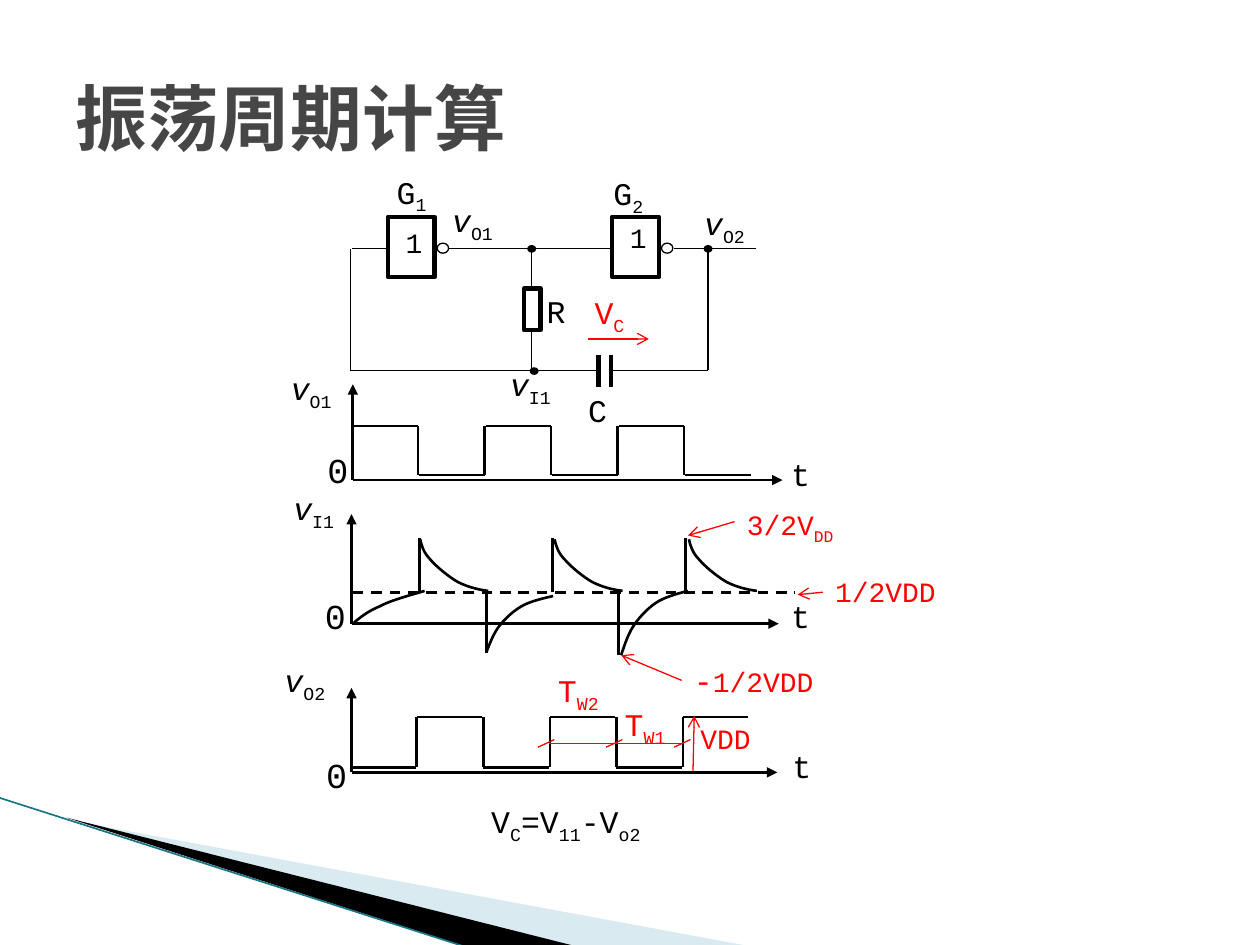
from lxml import etree
from pptx import Presentation
from pptx import util as u
from pptx.dml.color import RGBColor
from pptx.enum import shapes, text
from pptx.oxml.ns import qn

COLORS = {"ink": "000000", "red": "FF0000", "title": "464646", "white": "FFFFFF",
          "pale": "A0CBDC", "edge": "1B7587"}
FALL = [(0, 0), (0.1, 0.5), (0.3, 1.1), (0.8, 1.6), (1.3, 2.2), (2.3, 3), (3, 3.4),
        (3.8, 3.8), (4.6, 4), (5.4, 4.1)]
RISE = [(0, 0), (0.3, -0.9), (0.6, -1.8), (1.1, -2.5), (1.6, -3.2), (2.3, -3.9), (3, -4.3),
        (3.7, -4.7), (4.9, -5), (5.3, -5.1)]
CHARGE = [(0, 0), (0.6, -0.5), (1.2, -1), (2.2, -1.4), (3.1, -1.9), (5.1, -2.4), (5.7, -2.6)]
PULSE = 5.28


class Sketch:
    """Draws styled elements on a slide, measured on a grid of 100 columns by 75 rows."""

    def __init__(self, presentation, font="Courier New"):
        self.slide = presentation.slides.add_slide(presentation.slide_layouts[6])
        self.shapes = self.slide.shapes
        self.cell = presentation.slide_width / 100
        self.font = font

    def grid(self, *lengths):
        return [u.Emu(round(length * self.cell)) for length in lengths]

    def color(self, name):
        return RGBColor.from_string(COLORS[name])

    def paint(self, shape, fill=None, line=None, width=0.75):
        shape.shadow.inherit = False
        if fill:
            shape.fill.solid()
            shape.fill.fore_color.rgb = self.color(fill)
        else:
            shape.fill.background()
        if line:
            shape.line.color.rgb = self.color(line)
            shape.line.width = u.Pt(width)
        else:
            shape.line.fill.background()
        return shape

    def box(self, x, y, width, height, line_width=2.5):
        shape = self.shapes.add_shape(shapes.MSO_SHAPE.RECTANGLE, *self.grid(x, y, width, height))
        self.paint(shape, None, "ink", line_width)

    def dot(self, x, y, width, height, fill="ink"):
        shape = self.shapes.add_shape(shapes.MSO_SHAPE.OVAL, *self.grid(x, y, width, height))
        self.paint(shape, fill, "ink")

    def line(self, x1, y1, x2, y2, width=0.75, color="ink", arrow=None, dash=None):
        connector = self.shapes.add_connector(
            shapes.MSO_CONNECTOR.STRAIGHT, *self.grid(x1, y1, x2, y2))
        connector.line.color.rgb = self.color(color)
        connector.line.width = u.Pt(width)
        properties = connector._element.spPr
        outline = properties.find(qn("a:ln"))
        if dash:
            etree.SubElement(outline, qn("a:prstDash")).set("val", dash)
        if arrow:
            etree.SubElement(outline, qn("a:tailEnd")).set("type", arrow)
        etree.SubElement(properties, qn("a:effectLst"))

    def outline(self, points, closed=False):
        start, *rest = [self.grid(*point) for point in points]
        builder = self.shapes.build_freeform(*start, scale=1.0)
        builder.add_line_segments(rest, close=closed)
        return builder.convert_to_shape()

    def polygon(self, points, fill, opacity=100):
        shape = self.paint(self.outline(points, True), fill)
        if opacity < 100:
            color = shape._element.spPr.find(qn("a:solidFill"))[0]
            etree.SubElement(color, qn("a:alpha")).set("val", str(opacity * 1000))

    def curve(self, x, y, controls, stretch=1):
        shape = self.outline([(x + dx, y + dy * stretch) for dx, dy in controls])
        segments = list(shape._element.iter(qn("a:lnTo")))
        for first in range(0, len(segments), 3):
            group = segments[first:first + 3]
            bezier = etree.SubElement(group[0].getparent(), qn("a:cubicBezTo"))
            for segment in group:
                bezier.append(segment[0])
                segment.getparent().remove(segment)
        self.paint(shape, None, "ink", 1.5)

    def label(self, x, y, width, height, *parts, size=18, color="ink", italic=False, bold=False):
        frame = self.shapes.add_textbox(*self.grid(x, y, width, height)).text_frame
        frame.word_wrap = True
        paragraph = frame.paragraphs[0]
        paragraph.font.name = self.font
        paragraph.font.size = u.Pt(size)
        paragraph.font.bold = bold
        paragraph.font.color.rgb = self.color(color)
        for index, part in enumerate(parts):
            run = paragraph.add_run()
            run.text = part
            if index % 2:
                run._r.get_or_add_rPr().set("baseline", "-25000")
            elif italic:
                run.font.italic = True
        return frame

    def gate(self, x, number_y):
        self.box(x, 17.2, 3.7, 4.8)
        self.dot(x + 3.9, 19.3, 0.9, 0.8, "white")
        self.label(x + 0.4, number_y, 4.2, 3.5, "1", size=16)

    def axes(self, x, y, top, right):
        self.line(x, y, right, y, 1.5, arrow="triangle")
        self.line(x, y, x, top, 1.5, arrow="triangle")

    def square_wave(self, x, high, low, starts_high, gap):
        for index in range(6):
            left = x + index * PULSE
            level = high if (index % 2 == 0) == starts_high else low
            self.line(left, level, left + 5.2, level, 1.5)
            if index:
                self.line(left - gap, high, left - gap, low, 1.5)


def draw_background(sketch):
    sketch.polygon([(5.5, 65.1), (59.5, 75.1), (45.6, 75.1)], "pale", 40)
    sketch.polygon([(5.3, 64.9), (45.7, 75.1), (37.2, 75.2)], "ink")
    sketch.line(-0.1, 63.3, 37.1, 75.2, 0.95, "edge")
    title = sketch.label(5, 3, 90, 12.5, "振荡周期计算", size=41, color="title", bold=True)
    title.vertical_anchor = text.MSO_ANCHOR.MIDDLE


def draw_circuit(sketch):
    sketch.gate(30.8, 17.4)
    sketch.gate(48.6, 17)
    for wire in [(30.8, 19.7, 27.9, 19.7), (48.4, 19.7, 35.6, 19.7), (53.5, 19.7, 60, 19.7),
                 (42.2, 19.6, 42.2, 23), (42.2, 26.2, 42.2, 29.4), (27.8, 29.4, 47.5, 29.4),
                 (48.6, 29.4, 56.2, 29.4), (56.2, 19.6, 56.2, 29.4), (27.8, 19.8, 27.8, 29.4)]:
        sketch.line(*wire)
    for x, y in [(42.1, 29.2), (55.9, 19.5), (41.9, 19.5)]:
        sketch.dot(x, y, 0.6, 0.5)
    sketch.box(41.6, 22.9, 1.3, 3.3)
    for plate in (47.5, 48.5):
        sketch.line(plate, 28.2, plate, 30.7, 2.5)
    for x, y, number in [(47.7, 13.3, "2"), (30.5, 13.2, "1")]:
        sketch.label(x, y, 5.9, 4.2, "G", number)
    sketch.label(42.4, 22.7, 4.6, 4.2, "R")
    sketch.label(45.7, 30.5, 5, 4.2, "C")
    for x, y, node in [(34.9, 15.5, "O1"), (54.9, 15.7, "O2"), (39.5, 28.5, "I1")]:
        sketch.label(x, y, 6.7, 4.7, "v", node, italic=True)
    sketch.line(46.7, 26.9, 51.5, 26.9, color="red", arrow="arrow")
    sketch.label(46.2, 22.8, 5.5, 4, "V", "C", color="red")


def draw_waveforms(sketch):
    sketch.axes(28, 38.1, 30.5, 62.1)
    sketch.axes(27.9, 49.5, 40.8, 61.8)
    sketch.axes(27.9, 61.3, 54.6, 61.7)
    for x, y, node in [(22.1, 28.8, "O1"), (22.3, 38.3, "I1"), (21.6, 52, "O2")]:
        sketch.label(x, y, 7.7, 5.5, "v", node, italic=True)
    for x, y in [(25, 35.1), (24.8, 46.7), (24.9, 59.3)]:
        sketch.label(x, y, 4.3, 4, "0", size=20)
    for x, y in [(61.8, 35.6), (61.8, 46.9), (61.9, 58.8)]:
        sketch.label(x, y, 4, 4.1, "t")
    sketch.square_wave(28, 33.8, 37.7, True, 0.1)
    sketch.square_wave(27.8, 56.9, 60.9, False, 0)
    sketch.line(28, 47, 63.1, 47, 1.5, dash="dash")
    sketch.curve(28, 49.5, CHARGE)
    for index in range(3):
        step = index * 2 * PULSE
        sketch.line(33.3 + step, 47, 33.3 + step, 42.7, 1.5)
        sketch.curve(33.35 + step * 1.01, 42.8, FALL)
    for x, bottom, curve_x, stretch in [(38.6, 51.8, 38.6, 0.88), (49.1, 52, 49.3, 1)]:
        sketch.line(x, 47, x, bottom, 1.5)
        sketch.curve(curve_x, bottom, RISE, stretch)


def draw_annotations(sketch):
    for arrow in [(54.1, 54, 49.3, 52), (58.3, 41.4, 54.6, 42.5), (65.3, 47, 63.3, 47.2),
                  (55, 61.2, 55.1, 56.8)]:
        sketch.line(*arrow, color="red", arrow="arrow")
    sketch.label(58.3, 39.8, 14.3, 3.2, "3/2V", "DD", size=16, color="red")
    sketch.label(65.3, 45.1, 10.9, 3.7, "1/2VDD", size=16, color="red")
    sketch.label(54.6, 56.8, 6.9, 3.7, "VDD", size=16, color="red")
    minus = sketch.label(54.1, 52, 12.3, 4, "-", color="red")
    run = minus.paragraphs[0].add_run()
    run.text = "1/2VDD"
    run.font.size = u.Pt(16)
    sketch.line(43.6, 59, 54.2, 59, color="red")
    for index in range(3):
        x = 42.7 + index * 5.4
        sketch.line(x, 59.3, x + 1.3, 58.7, color="red")
    sketch.label(43.3, 52.8, 6.1, 4, "T", "W2", color="red")
    sketch.label(48.6, 55.5, 6.1, 4, "T", "W1", color="red")
    sketch.label(38, 63.2, 15.8, 4, "V", "C", "=V", "11", "-V", "o2")


def main():
    presentation = Presentation()
    presentation.slide_width, presentation.slide_height = u.Inches(10), u.Inches(7.5)
    sketch = Sketch(presentation)
    for draw in (draw_background, draw_circuit, draw_waveforms, draw_annotations):
        draw(sketch)
    presentation.save("out.pptx")


if __name__ == "__main__":
    main()
